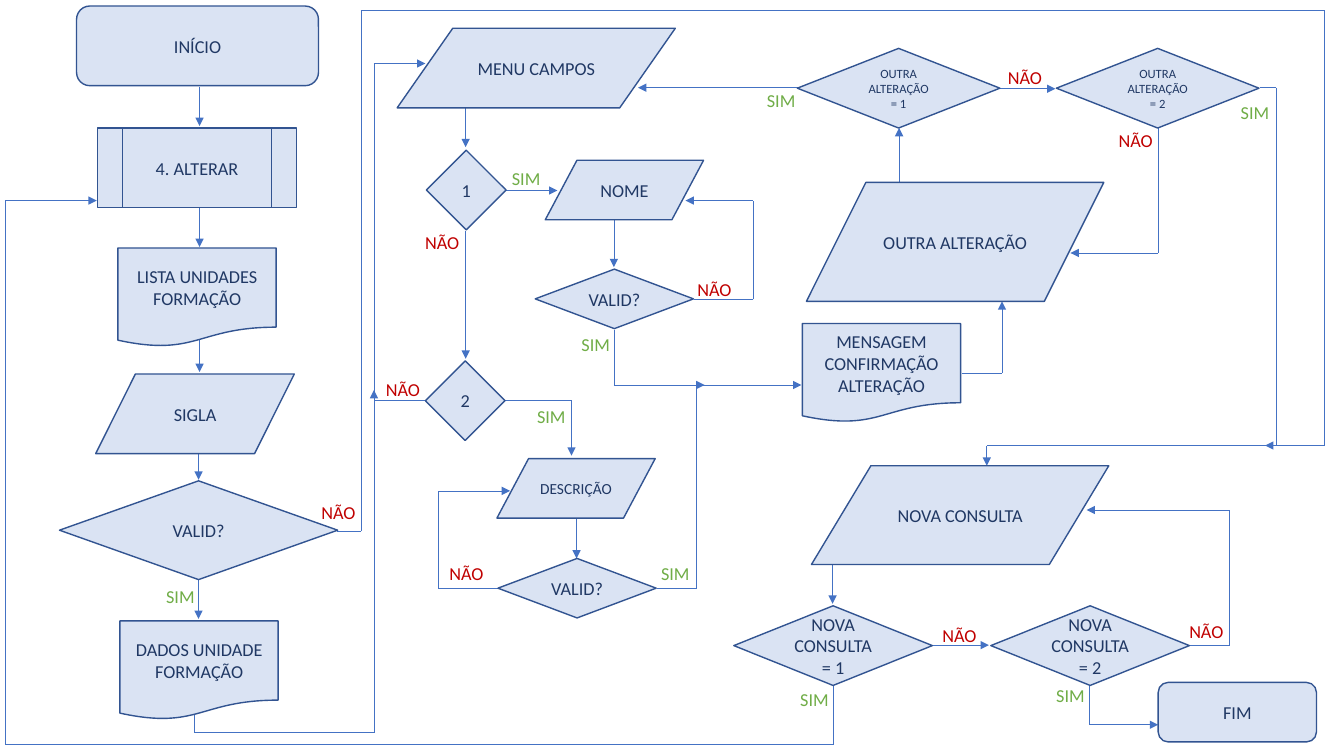
from dataclasses import dataclass
from itertools import pairwise

from pptx import Presentation
from pptx.dml.color import RGBColor
from pptx.enum.shapes import MSO_CONNECTOR, MSO_SHAPE as Preset
from pptx.enum.text import MSO_ANCHOR as Anchor, PP_ALIGN as Align
from pptx.oxml.ns import qn
from pptx.util import Inches, Pt
from lxml.etree import SubElement


@dataclass(frozen=True)
class Theme:
    font: str = "Calibri"
    fill: str = "DAE3F3"
    outline: str = "325491"
    flow: str = "4472C4"
    text: str = "203864"
    yes: str = "70AD47"
    no: str = "C00000"
    normal: int = 13
    compact: int = 11
    small: int = 9


THEME = Theme()

# All lengths count cells of a square grid, ten to the inch
COLUMNS, ROWS = 133.33, 75

# Shape families of the flowchart
TERMINAL = Preset.FLOWCHART_ALTERNATE_PROCESS
PROCESS = Preset.FLOWCHART_PREDEFINED_PROCESS
DOCUMENT = Preset.FLOWCHART_DOCUMENT
INPUT = Preset.FLOWCHART_DATA
DECISION = Preset.FLOWCHART_DECISION

# Step sizes in cells: columns, rows
SMALL = (15.7, 5.9)
SQUARE = (7.9, 7.9)
MEDIUM = (19.7, 7.9)
PAGE = (15.7, 9.8)
BRANCH = (20.1, 7.9)

# Family, column, row, size, lines of text, type size
STEPS = [
    # Selecting the record
    (TERMINAL, 7.6, 0.6, (24, 7.9), ["INÍCIO"], THEME.normal),
    (PROCESS, 9.7, 12.7, MEDIUM, ["4. ALTERAR"], THEME.normal),
    (DOCUMENT, 11.7, 24.6, PAGE, ["LISTA UNIDADES FORMAÇÃO"], THEME.normal),
    (INPUT, 9.5, 37.1, MEDIUM, ["SIGLA"], THEME.normal),
    (DECISION, 5.9, 47.7, (27.6, 9.8), ["VALID?"], THEME.normal),
    (DOCUMENT, 11.9, 61.6, PAGE, ["DADOS UNIDADE FORMAÇÃO"], THEME.normal),
    # Editing the fields
    (INPUT, 39.4, 2.8, (27.6, 7.9), ["MENU CAMPOS"], THEME.normal),
    (DECISION, 42.3, 14.9, SQUARE, ["1"], THEME.normal),
    (DECISION, 42.2, 35.8, SQUARE, ["2"], THEME.normal),
    (INPUT, 54.1, 15.9, SMALL, ["NOME"], THEME.normal),
    (DECISION, 53.1, 26.7, SMALL, ["VALID?"], THEME.normal),
    (INPUT, 49.3, 45.5, SMALL, ["DESCRIÇÃO"], THEME.compact),
    (DECISION, 49.4, 55.4, SMALL, ["VALID?"], THEME.normal),
    # Confirming, then another change
    (DOCUMENT, 79.6, 32.1, PAGE, ["MENSAGEM CONFIRMAÇÃO ALTERAÇÃO"], THEME.normal),
    (INPUT, 80, 18.1, (29.5, 11.8), ["OUTRA ALTERAÇÃO"], THEME.normal),
    (DECISION, 79.1, 4.8, BRANCH, ["OUTRA ALTERAÇÃO", "= 1"], THEME.small),
    (DECISION, 104.8, 4.8, BRANCH, ["OUTRA ALTERAÇÃO", "= 2"], THEME.small),
    # New query or end
    (INPUT, 80.5, 46.2, (29.5, 9.8), ["NOVA CONSULTA"], THEME.normal),
    (DECISION, 72.8, 60.1, MEDIUM, ["NOVA CONSULTA", "= 1"], THEME.normal),
    (DECISION, 98.3, 60.1, MEDIUM, ["NOVA CONSULTA", "= 2"], THEME.normal),
    (TERMINAL, 114.9, 67.7, SMALL, ["FIM"], THEME.normal),
]

# Corner points of each path; the last one carries the arrowhead
ROUTES = [
    # Down the first column
    [(19.8, 8.6), (19.8, 12.5)],
    [(19.8, 20.6), (19.8, 24.5)],
    [(19.8, 33.7), (19.8, 36.9)],
    [(19.7, 44), (19.7, 47.6)],
    [(19.7, 57.5), (19.7, 61.4)],
    [(33.4, 52.7), (35.8, 52.7), (35.8, 1), (131.4, 1), (131.4, 44.2), (125.5, 44.2)],
    [(19.3, 69.4), (19.3, 72.7), (37.1, 72.7), (37.1, 38.7)],
    # Around the field menu
    [(42.2, 39.7), (37.1, 39.7), (37.1, 6.3), (42.2, 6.3)],
    [(46.2, 10.7), (46.2, 14.6)],
    [(46.2, 22.9), (46.2, 35.6)],
    [(50.2, 18.9), (55.3, 18.9)],
    [(60.9, 21.8), (60.9, 26.5)],
    [(68.8, 29.7), (74.7, 29.7), (74.7, 19.9), (68, 19.9)],
    [(60.9, 32.7), (60.9, 38.2), (69.9, 38.2)],
    [(50.1, 39.7), (56.7, 39.7), (56.7, 45.2)],
    [(57.2, 51.4), (57.2, 55.4)],
    [(49.4, 58.4), (43.5, 58.4), (43.5, 48.7), (50.6, 48.7)],
    [(65.2, 58.4), (69.1, 58.4), (69.1, 38.2), (79.5, 38.2)],
    # Confirmation and another change
    [(95.4, 37), (99.4, 37), (99.4, 29.9)],
    [(89.2, 18.2), (89.2, 12.7)],
    [(79.4, 8.7), (63.3, 8.7)],
    [(98.8, 8.8), (104.7, 8.8)],
    [(114.9, 12.5), (114.9, 25.1), (106.2, 25.1)],
    [(125, 8.7), (126.6, 8.7), (126.6, 44.2), (97.9, 44.2), (97.9, 46.2)],
    # New query or end
    [(82.6, 56), (82.6, 59.9)],
    [(92.2, 64), (98.1, 64)],
    [(118.1, 64), (122, 64), (122, 50.6), (107.8, 50.6)],
    [(82.7, 67.9), (82.7, 73.8), (0.5, 73.8), (0.5, 19.9), (9.6, 19.9)],
    [(108.1, 67.9), (108.1, 71.9), (114.9, 71.9)],
]

# Column and row of each answer beside its branch
YES_ANSWERS = [(15.5, 57.6), (56.7, 32.6), (64.6, 55.3), (78.4, 67.8), (75.1, 8.4),
               (122.1, 9.6), (103.8, 67.4), (49.8, 16.1), (52.3, 39.7)]
NO_ANSWERS = [(30.9, 49.2), (37.3, 37), (68.2, 27.1), (43.6, 55.3), (117, 61),
              (110, 12.3), (99, 6.1), (92.5, 61.4), (41.2, 22.5)]
ANSWER_SIZE = (7.3, 3.2)


def cells(*counts):
    return [Inches(count / 10) for count in counts]


def color(code):
    return RGBColor.from_string(code)


def write(paragraph, words, size, ink):
    run = paragraph.add_run()
    run.text = words
    run.font.name = THEME.font
    run.font.size = Pt(size)
    run.font.color.rgb = color(ink)


def add_step(slide, family, column, row, size, lines, type_size):
    step = slide.shapes.add_shape(family, *cells(column, row, *size))
    step.shadow.inherit = False
    step.fill.solid()
    step.fill.fore_color.rgb = color(THEME.fill)
    step.line.color.rgb = color(THEME.outline)
    step.line.width = Pt(1)
    frame = step.text_frame
    frame.word_wrap = True
    frame.vertical_anchor = Anchor.MIDDLE
    for index, words in enumerate(lines):
        paragraph = frame.add_paragraph() if index else frame.paragraphs[0]
        paragraph.alignment = Align.CENTER
        write(paragraph, words, type_size, THEME.text)


def add_segment(slide, start, end, arrow):
    segment = slide.shapes.add_connector(MSO_CONNECTOR.STRAIGHT, *cells(*start, *end))
    segment.line.color.rgb = color(THEME.flow)
    segment.line.width = Pt(0.5)
    if arrow:
        SubElement(segment.line._get_or_add_ln(), qn("a:tailEnd"), type="triangle")
    SubElement(segment._element.spPr, qn("a:effectLst"))


def add_route(slide, corners):
    for start, end in pairwise(corners):
        add_segment(slide, start, end, arrow=end == corners[-1])


def add_answer(slide, place, words, ink):
    answer = slide.shapes.add_textbox(*cells(*place, *ANSWER_SIZE))
    answer.text_frame.word_wrap = True
    write(answer.text_frame.paragraphs[0], words, THEME.normal, ink)


def main():
    deck = Presentation()
    deck.slide_width, deck.slide_height = cells(COLUMNS, ROWS)
    slide = deck.slides.add_slide(deck.slide_layouts[6])

    # Paths lie below the steps they join
    for corners in ROUTES:
        add_route(slide, corners)
    for step in STEPS:
        add_step(slide, *step)

    # Answers at the decisions
    for places, words, ink in ((YES_ANSWERS, "SIM", THEME.yes),
                               (NO_ANSWERS, "NÃO", THEME.no)):
        for place in places:
            add_answer(slide, place, words, ink)

    deck.save("out.pptx")


if __name__ == "__main__":
    main()
